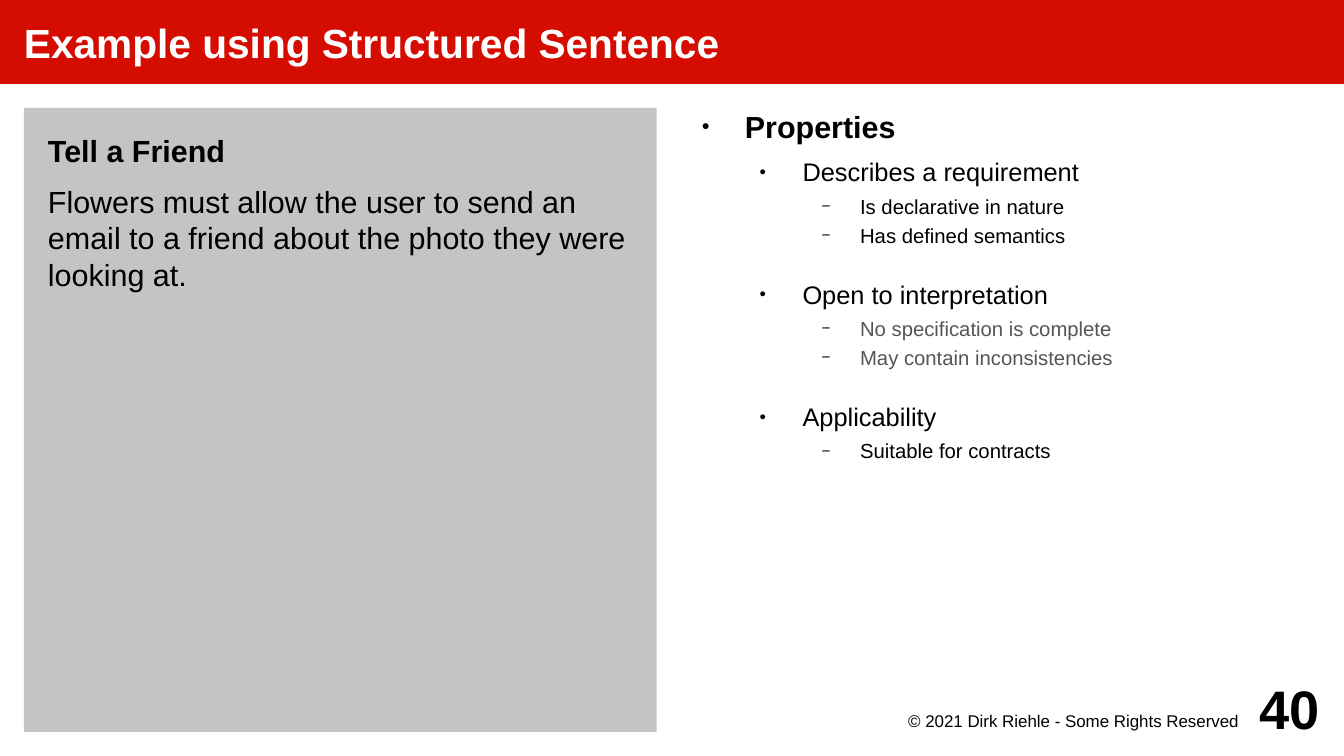
from lxml import etree
from pptx import Presentation
from pptx.dml.color import RGBColor
from pptx.enum.shapes import MSO_SHAPE
from pptx.enum.text import MSO_ANCHOR, PP_ALIGN
from pptx.oxml.ns import qn
from pptx.util import Cm, Pt

RECT = MSO_SHAPE.RECTANGLE
TOP, MIDDLE = MSO_ANCHOR.TOP, MSO_ANCHOR.MIDDLE
LEFT, RIGHT = PP_ALIGN.LEFT, PP_ALIGN.RIGHT

FONT = "Arial"
COLORS = {
    "red": "D50D01",
    "panel": "C4C4C4",
    "white": "FFFFFF",
    "black": "000000",
    "muted": "555555",
}

LEVELS = [
    {"size": 18, "gap": 4.2, "indent": 1.2, "hang": 0.9, "char": "●", "pct": 45},
    {"size": 15, "gap": 2.8, "indent": 2.4, "hang": 0.9, "char": "●", "pct": 45},
    {"size": 12, "gap": 1.4, "indent": 3.6, "hang": 0.8, "char": "−", "pct": 75},
]
SECTION_GAP = 17.1

PROPERTIES = [
    ("Describes a requirement", "black",
     ["Is declarative in nature", "Has defined semantics"]),
    ("Open to interpretation", "muted",
     ["No specification is complete", "May contain inconsistencies"]),
    ("Applicability", "black", ["Suitable for contracts"]),
]


def rgb(name):
    return RGBColor.from_string(COLORS[name])


def set_frame(sp, insets=(0, 0, 0, 0), anchor=TOP):
    tf = sp.text_frame
    tf.word_wrap = True
    tf.vertical_anchor = anchor
    tf.margin_left, tf.margin_top, tf.margin_right, tf.margin_bottom = [
        Cm(inset) for inset in insets]
    return tf


def add_panel(s, box, fill, insets, anchor=TOP):
    sp = s.shapes.add_shape(RECT, *[Cm(v) for v in box])
    sp.shadow.inherit = False
    sp.fill.solid()
    sp.fill.fore_color.rgb = rgb(fill)
    sp.line.fill.background()
    return set_frame(sp, insets, anchor)


def add_text_box(s, box, insets=(0, 0, 0, 0), anchor=TOP):
    sp = s.shapes.add_textbox(*[Cm(v) for v in box])
    return set_frame(sp, insets, anchor)


def add_paragraph(tf, text, size, color="black", bold=False, align=LEFT, gap=0):
    first = not tf.text
    p = tf.paragraphs[0] if first else tf.add_paragraph()
    p.text = text
    p.alignment = align
    p.space_before = Pt(0 if first else gap)
    p.space_after = Pt(gap)
    for r in p.runs:
        r.font.name = FONT
        r.font.size = Pt(size)
        r.font.bold = bold
        r.font.color.rgb = rgb(color)
    return p


def add_bullet(tf, text, level, color="black", bold=False):
    style = LEVELS[level]
    p = add_paragraph(tf, text, style["size"], color, bold, gap=style["gap"])
    p.level = level
    pPr = p._p.get_or_add_pPr()
    pPr.set("marL", str(Cm(style["indent"])))
    pPr.set("indent", str(-Cm(style["hang"])))
    bu_clr = etree.SubElement(pPr, qn("a:buClr"))
    etree.SubElement(bu_clr, qn("a:srgbClr"), val=COLORS["black"])
    etree.SubElement(pPr, qn("a:buSzPct"), val=str(style["pct"] * 1000))
    etree.SubElement(pPr, qn("a:buFont"), typeface=FONT)
    etree.SubElement(pPr, qn("a:buChar"), char=style["char"])
    return p


def add_properties(s):
    tf = add_text_box(s, (14.32, 2.25, 13.18, 11.5))
    add_bullet(tf, "Properties", 0, bold=True)
    for i, (heading, color, details) in enumerate(PROPERTIES):
        p = add_bullet(tf, heading, 1)
        if i:
            p.space_before = Pt(SECTION_GAP)
        for detail in details:
            add_bullet(tf, detail, 2, color)


def main():
    prs = Presentation()
    prs.slide_width, prs.slide_height = Cm(28), Cm(15.75)
    s = prs.slides.add_slide(prs.slide_layouts[6])

    title = add_panel(s, (0, 0, 28, 1.75), "red", (0.5, 0, 0, 0), MIDDLE)
    add_paragraph(title, "Example using Structured Sentence", 24, "white", True)

    story = add_panel(s, (0.5, 2.25, 13.18, 13), "panel", (0.5, 0.5, 0.5, 0.5))
    add_paragraph(story, "Tell a Friend", 18, bold=True, gap=4.2)
    add_paragraph(
        story,
        "Flowers must allow the user to send an email to a friend "
        "about the photo they were looking at.",
        18, gap=4.2)

    add_properties(s)

    footer = add_text_box(s, (18, 14.75, 8, 0.75), (0, 0.05, 0.2, 0))
    add_paragraph(footer, "© 2021 Dirk Riehle - Some Rights Reserved", 10, align=RIGHT)

    number = add_text_box(s, (25.5, 14, 2, 1.5), anchor=MIDDLE)
    add_paragraph(number, "40", 32, bold=True, align=RIGHT)

    prs.save("out.pptx")


if __name__ == "__main__":
    main()
